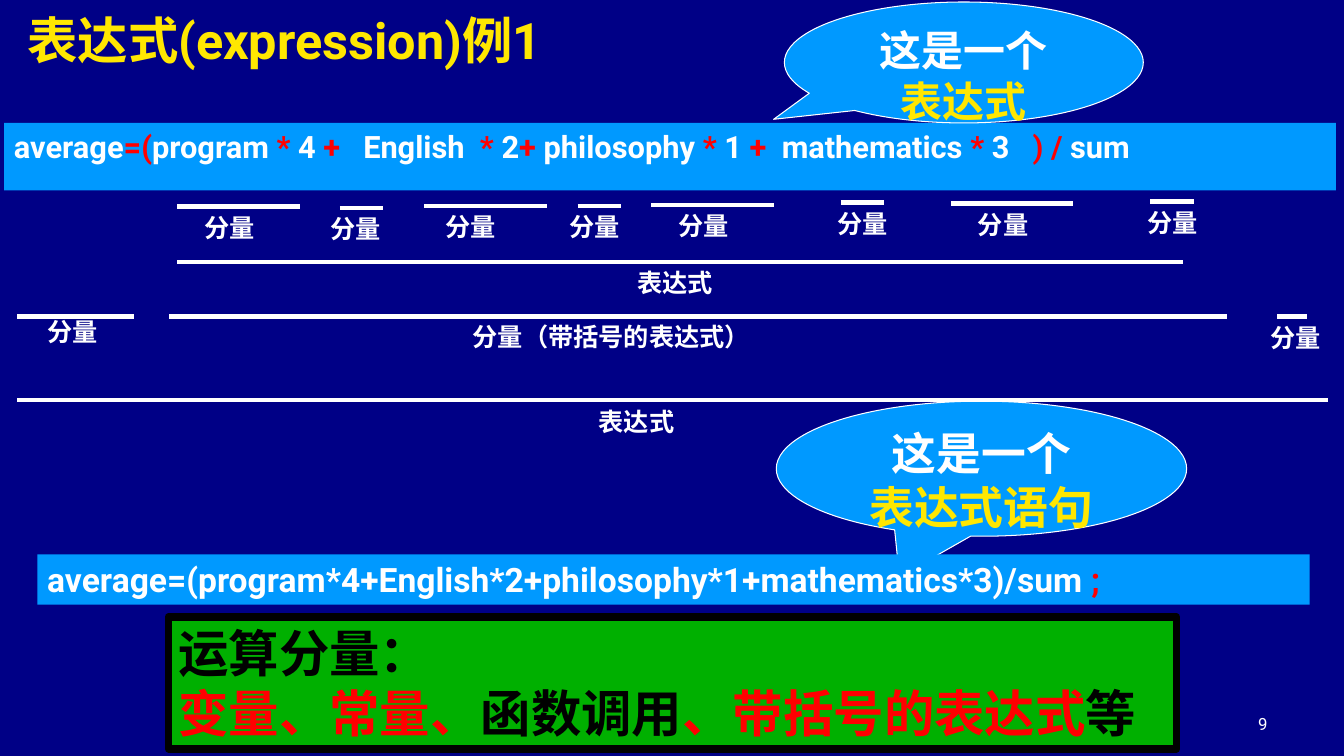
from pptx import Presentation
from pptx.dml.color import RGBColor
from pptx.enum import shapes, text
from pptx.oxml.ns import qn
from pptx.util import Inches, Pt

NAVY = RGBColor(0x00, 0x00, 0x86)
BLUE = RGBColor(0x00, 0x99, 0xFF)
GREEN = RGBColor(0x00, 0xB0, 0x00)
YELLOW = RGBColor(0xFF, 0xE7, 0x01)
RED = RGBColor(0xFF, 0x00, 0x00)
WHITE = RGBColor(0xFF, 0xFF, 0xFF)
BLACK = RGBColor(0x00, 0x00, 0x00)
FONT = "Roboto"
LEFT, MID, RIGHT = text.PP_ALIGN.LEFT, text.PP_ALIGN.CENTER, text.PP_ALIGN.RIGHT

FORMULA = [
    ("average", WHITE), ("=(", RED), ("program ", WHITE), ("*", RED),
    (" 4 ", WHITE), ("+   ", RED), ("English  ", WHITE), ("*", RED),
    (" 2", WHITE), ("+ ", RED), ("philosophy ", WHITE), ("* ", RED),
    ("1 ", WHITE), ("+  ", RED), ("mathematics ", WHITE), ("* ", RED),
    ("3   ", WHITE), (") /", RED), (" sum", WHITE),
]
STATEMENT = [
    ("average=(program*4+English*2+philosophy*1+mathematics*3)/sum ", WHITE),
    (";", RED),
]
OPERANDS = [
    [("运算分量：", BLACK)],
    [("变量、常量、", RED), ("函数调用", BLACK),
     ("、带括号的表达式", RED), ("等", BLACK)],
]
# Line start, line end, line height, label left, label top, label
SPANS = [
    (1.76, 2.98, 2.05, 1.93, 2.06, "分量"),
    (3.37, 3.80, 2.06, 3.18, 2.07, "分量"),
    (4.21, 5.43, 2.04, 4.32, 2.05, "分量"),
    (5.73, 6.16, 2.04, 5.55, 2.05, "分量"),
    (6.46, 7.68, 2.03, 6.63, 2.04, "分量"),
    (8.34, 8.77, 2.01, 8.21, 2.02, "分量"),
    (9.43, 10.64, 2.02, 9.60, 2.03, "分量"),
    (11.41, 11.84, 2.00, 11.28, 2.01, "分量"),
    (1.76, 11.73, 2.60, 6.22, 2.60, "表达式"),
    (1.68, 12.17, 3.14, 4.59, 3.14, "分量（带括号的表达式）"),
    (12.67, 12.96, 3.14, 12.50, 3.15, "分量"),
    (0.17, 1.33, 3.14, 0.37, 3.09, "分量"),
    (0.17, 13.17, 3.97, 5.84, 3.98, "表达式"),
]


def write(frame, paras, size, align=LEFT, bold=True, anchor=text.MSO_ANCHOR.TOP):
    """Fill a text frame; each paragraph is a list of (words, colour)."""
    frame.word_wrap = True
    frame.vertical_anchor = anchor
    for i, runs in enumerate(paras):
        para = frame.add_paragraph() if i else frame.paragraphs[0]
        para.alignment = align
        para.font.name, para.font.size, para.font.bold = FONT, Pt(size), bold
        for words, color in runs:
            run = para.add_run()
            run.text = words
            run.font.color.rgb = color


def place(slide, kind, box, fill, line=None, width=0.75):
    shape = slide.shapes.add_shape(kind, *map(Inches, box))
    shape.shadow.inherit = False
    shape.fill.solid()
    shape.fill.fore_color.rgb = fill
    if line is None:
        shape.line.fill.background()
    else:
        shape.line.color.rgb = line
        shape.line.width = Pt(width)
    return shape


def add_title(slide, box):
    title = slide.shapes.title
    title.left, title.top, title.width, title.height = map(Inches, box)
    write(title.text_frame, [[("表达式(expression)例1", YELLOW)]], 36,
          anchor=text.MSO_ANCHOR.MIDDLE)


def add_number(slide, box):
    number = slide.shapes.add_textbox(*map(Inches, box))
    write(number.text_frame, [[("9", WHITE)]], 12, RIGHT, False,
          text.MSO_ANCHOR.BOTTOM)


def add_band(slide, box, runs, size):
    band = place(slide, shapes.MSO_SHAPE.RECTANGLE, box, BLUE)
    write(band.text_frame, [runs], size)


def add_bubble(slide, box, tip, term, size):
    """Callout whose tip is given as shares of its width and height."""
    bubble = place(slide, shapes.MSO_SHAPE.OVAL_CALLOUT, box, BLUE, WHITE)
    bubble.adjustments[0], bubble.adjustments[1] = tip
    write(bubble.text_frame, [[("这是一个", WHITE)], [(term, YELLOW)]], size, MID)


def add_summary(slide, box):
    panel = place(slide, shapes.MSO_SHAPE.RECTANGLE, box, GREEN, BLACK, 5.25)
    write(panel.text_frame, OPERANDS, 36)


def add_span(slide, start, end, y, left, top, label):
    """Line under one part of the formula, with its label."""
    line = slide.shapes.add_connector(
        shapes.MSO_CONNECTOR.STRAIGHT, *map(Inches, (start, y, end, y)))
    line.line.color.rgb = WHITE
    line.line.width = Pt(3)
    props = line._element.spPr
    props.append(props.makeelement(qn("a:effectLst"), {}))
    width = 0.3 + 0.25 * len(label)
    note = slide.shapes.add_textbox(*map(Inches, (left, top, width, 0.4)))
    write(note.text_frame, [[(label, WHITE)]], 18)


def main():
    deck = Presentation()
    deck.slide_width, deck.slide_height = Inches(13.33), Inches(7.5)
    slide = deck.slides.add_slide(deck.slide_layouts[5])
    slide.background.fill.solid()
    slide.background.fill.fore_color.rgb = NAVY
    add_title(slide, (0.17, 0.1, 5.99, 0.58))
    add_number(slide, (9.56, 6.83, 3.11, 0.5))
    add_band(slide, (0.04, 1.22, 13.21, 0.67), FORMULA, 22)
    add_bubble(slide, (7.7, 3.98, 4.07, 1.34), (-0.2, 0.8), "表达式语句", 32)
    add_bubble(slide, (7.78, 0.02, 3.56, 1.2), (-0.53, 0.47), "表达式", 30)
    add_summary(slide, (1.67, 6.12, 10, 1.31))
    for span in SPANS:
        add_span(slide, *span)
    add_band(slide, (0.37, 5.5, 12.62, 0.5), STATEMENT, 24)
    deck.save("out.pptx")


if __name__ == "__main__":
    main()
